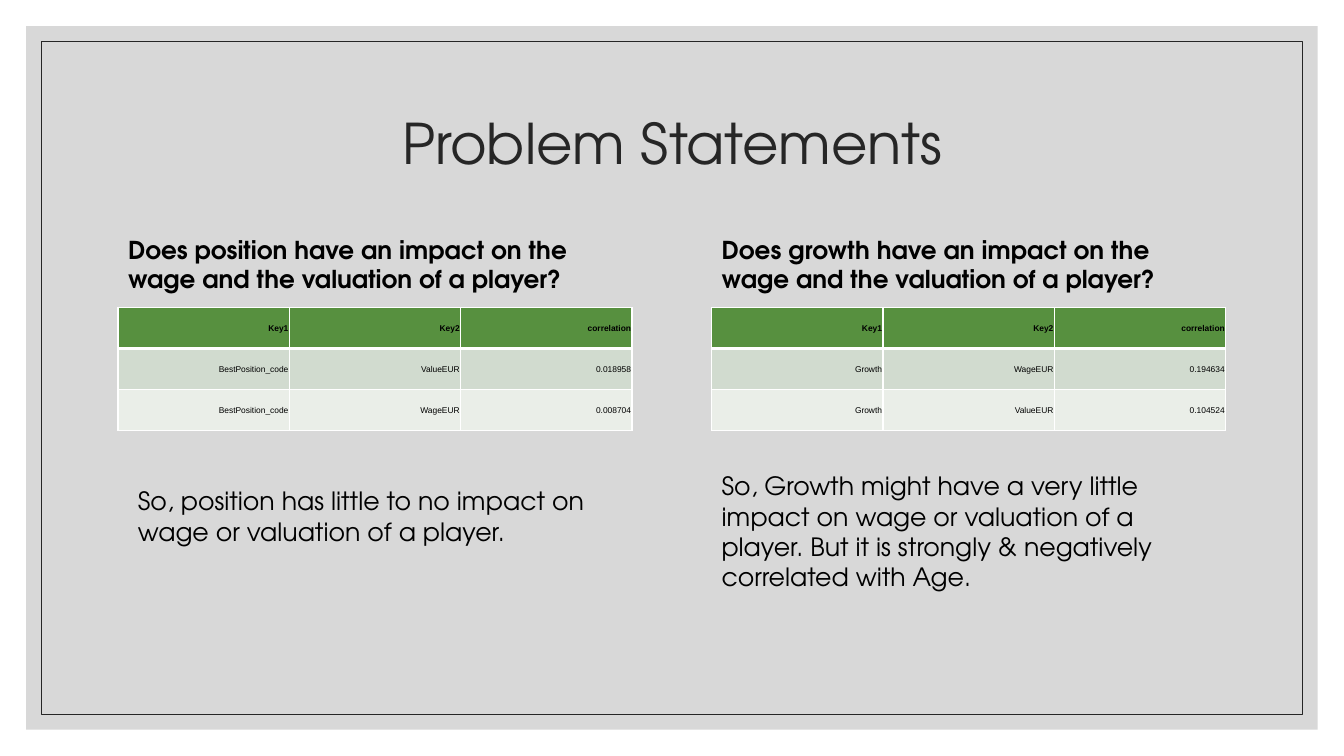
from dataclasses import dataclass

from lxml import etree
from pptx import Presentation
from pptx.dml.color import RGBColor
from pptx.enum.shapes import MSO_SHAPE as Shape
from pptx.enum.text import MSO_ANCHOR as Anchor, MSO_AUTO_SIZE as Fit, PP_ALIGN as Align
from pptx.oxml import parse_xml
from pptx.oxml.ns import nsdecls, qn
from pptx.util import Pt

TITLE = "Problem Statements"
HEADER = ("Key1", "Key2", "correlation")
# Each side: question, table rows, answer, answer box (left, top, width, height)
SIDES = [
    (
        "Does position have an impact on the wage and the valuation of a player?",
        [
            ("BestPosition_code", "ValueEUR", "0.018958"),
            ("BestPosition_code", "WageEUR", "0.008704"),
        ],
        "So, position has little to no impact on wage or valuation of a player.",
        (91.44, 343.44, 360, 51.12),
    ),
    (
        "Does growth have an impact on the wage and the valuation of a player?",
        [
            ("Growth", "WageEUR", "0.194634"),
            ("Growth", "ValueEUR", "0.104524"),
        ],
        "So, Growth might have a very little impact on wage or valuation of a player. "
        "But it is strongly & negatively correlated with Age.",
        (508.32, 332.64, 367.2, 94.32),
    ),
]


@dataclass(frozen=True)
class Theme:
    face: str = "TeX Gyre Adventor"
    cell_face: str = "Arial"
    title: float = 40
    question: float = 17.6
    answer: float = 18
    cell: float = 6
    panel: str = "BFBFBF"
    dark: str = "262626"
    text: str = "000000"
    white: str = "FFFFFF"
    head: str = "57903F"
    bands: tuple = ("D1DBCF", "EAEEE8")


THEME = Theme()
WIDE, HIGH = 960, 540
LEFTS = (84.24, 508.32)
COL, ROW = 122.4, 29.3
SPAN = COL * len(HEADER)


def place(shape, left, top, width, height):
    shape.left, shape.top = Pt(left), Pt(top)
    shape.width, shape.height = Pt(width), Pt(height)


def write(frame, text, size, color=THEME.text, face=THEME.face, bold=False, align=Align.LEFT):
    frame.text = text
    para = frame.paragraphs[0]
    para.alignment = align
    para.space_before = Pt(0)
    font = para.font
    font.name, font.size, font.bold = face, Pt(size), bold
    font.color.rgb = RGBColor.from_string(color)
    return para


def backdrop(slide, margin, depth):
    """Add an evenly inset rectangle at the given depth of the stack."""
    rect = slide.shapes.add_shape(
        Shape.RECTANGLE, Pt(margin), Pt(margin), Pt(WIDE - 2 * margin), Pt(HIGH - 2 * margin)
    )
    rect.shadow.inherit = False
    slide.shapes.element.insert(2 + depth, rect.element)
    return rect


def border(cell, top, bottom):
    props = cell._tc.get_or_add_tcPr()
    for i, (side, width) in enumerate(zip("LRTB", (1, 1, top, bottom))):
        line = parse_xml(
            f'<a:ln{side} {nsdecls("a")} w="{Pt(width)}"><a:solidFill>'
            f'<a:srgbClr val="{THEME.white}"/></a:solidFill></a:ln{side}>'
        )
        props.insert(i, line)


def add_grid(slide, left, rows):
    lines = [HEADER, *rows]
    fills = (THEME.head, *THEME.bands)
    table = slide.shapes.add_table(
        len(lines), len(HEADER), Pt(left), Pt(219.6), Pt(SPAN), Pt(ROW * len(lines))
    ).table
    for col in table.columns:
        col.width = Pt(COL)
    for r, (line, fill) in enumerate(zip(lines, fills)):
        table.rows[r].height = Pt(ROW)
        for c, text in enumerate(line):
            cell = table.cell(r, c)
            write(cell.text_frame, text, THEME.cell, face=THEME.cell_face,
                  bold=r == 0, align=Align.RIGHT)
            cell.vertical_anchor = Anchor.MIDDLE
            cell.margin_left = cell.margin_right = cell.margin_top = Pt(0.7)
            cell.margin_bottom = Pt(0)
            cell.fill.solid()
            cell.fill.fore_color.rgb = RGBColor.from_string(fill)
            border(cell, top=3 if r == 1 else 1, bottom=3 if r == 0 else 1)


def fill_holder(holder, box, *args, **style):
    """Move a placeholder and centre its text vertically."""
    place(holder, *box)
    frame = holder.text_frame
    frame.auto_size = Fit.NONE
    frame.vertical_anchor = Anchor.MIDDLE
    return write(frame, *args, **style)


def main():
    deck = Presentation()
    deck.slide_width, deck.slide_height = Pt(WIDE), Pt(HIGH)
    slide = deck.slides.add_slide(deck.slide_layouts.get_by_name("Comparison"))
    holders = {h.placeholder_format.idx: h for h in slide.placeholders}
    for idx in (2, 4):
        slide.shapes.element.remove(holders[idx].element)

    panel = backdrop(slide, 18.72, 0)
    panel.fill.solid()
    panel.fill.fore_color.rgb = RGBColor.from_string(THEME.panel)
    tint = next(panel.element.spPr.iter(qn("a:srgbClr")))
    etree.SubElement(tint, qn("a:alpha"), val="60000")
    panel.line.fill.background()

    rim = backdrop(slide, 29.52, 1)
    rim.fill.background()
    rim.line.color.rgb = RGBColor.from_string(THEME.dark)
    rim.line.width = Pt(0.5)

    title = fill_holder(slide.shapes.title, (LEFTS[0], 50.4, 792, 108), TITLE,
                        THEME.title, color=THEME.dark, align=Align.CENTER)
    title.line_spacing = 0.9

    for left, idx, (question, rows, answer, box) in zip(LEFTS, (1, 3), SIDES):
        fill_holder(holders[idx], (left, 163.44, SPAN, 50.4), question,
                    THEME.question, bold=True)
        add_grid(slide, left, rows)
        note = slide.shapes.add_textbox(*map(Pt, box))
        note.text_frame.word_wrap = True
        write(note.text_frame, answer, THEME.answer)

    deck.save("out.pptx")


if __name__ == "__main__":
    main()
